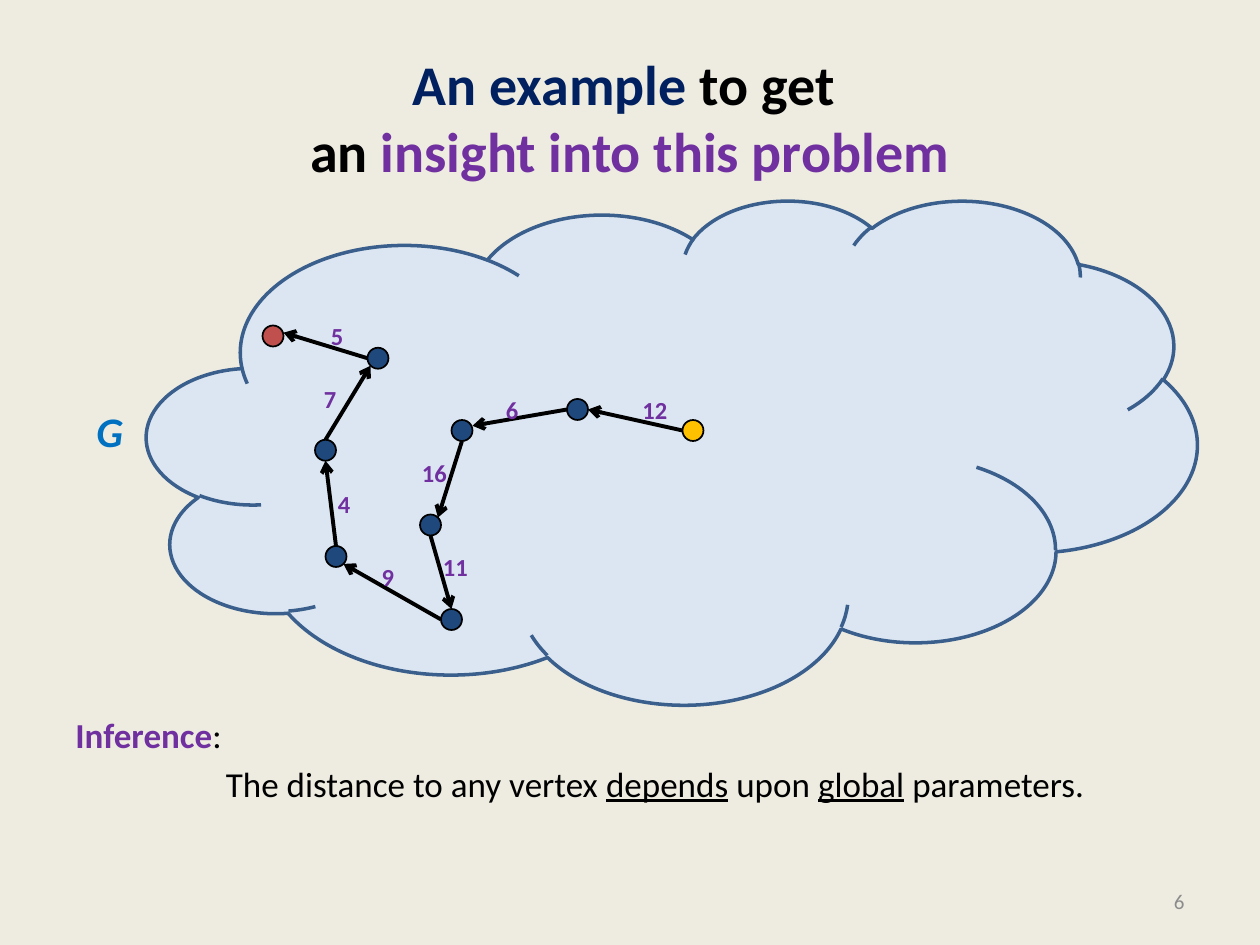
from dataclasses import dataclass
from math import cos, radians, sin

from pptx import Presentation
from pptx import util as u
from pptx.dml.color import RGBColor
from pptx.enum import shapes, text
from pptx.oxml.ns import qn
from lxml import etree

BLACK, NAVY, PURPLE = "000000", "002060", "7030A0"
BLUE, GOLD, RED = "1F497D", "FFC000", "C0504D"
RADIUS = 6
# Compass points as clockwise angles from the right
ANGLES = {"E": 0, "SE": 45, "S": 90, "W": 180, "SW": 135, "N": 270, "NE": 315}


@dataclass(frozen=True)
class Node:
    x: float
    y: float
    fill: str = BLUE

    def rim(self, side: str) -> tuple[float, float]:
        turn = radians(ANGLES[side])
        return self.x + RADIUS * cos(turn), self.y + RADIUS * sin(turn)


@dataclass(frozen=True)
class Edge:
    """Arrow between consecutive nodes; x and y place the weight's box."""
    leave: str
    enter: str
    weight: str
    x: float
    y: float
    drop: float = 0


NODES = [
    Node(396, 246, GOLD), Node(330, 234), Node(264, 246),
    Node(246, 300), Node(258, 354), Node(192, 318),
    Node(186, 257.3), Node(216, 204.7), Node(156, 192, RED),
]
EDGES = [
    Edge("W", "E", "12", 360, 222), Edge("W", "E", "6", 282, 222, -2.7),
    Edge("S", "NE", "16", 234, 258), Edge("S", "N", "11", 246, 312),
    Edge("W", "SE", "9", 211, 317.5), Edge("N", "S", "4", 186, 276),
    Edge("N", "SW", "7", 178, 216), Edge("W", "E", "5", 182, 180, -1.9),
]


def color(code: str) -> RGBColor:
    return RGBColor.from_string(code)


def write(para, words: str, code: str, **format) -> None:
    """Add a run, with font attributes given by name."""
    run = para.add_run()
    run.text = words
    run.font.color.rgb = color(code)
    for name, value in ({"name": "Calibri"} | format).items():
        setattr(run.font, name, value)


def add_box(slide, x: float, y: float, w: float, h: float, **format):
    """Add a text box and return its frame."""
    frame = slide.shapes.add_textbox(*map(u.Pt, (x, y, w, h))).text_frame
    for name, value in ({"word_wrap": True} | format).items():
        setattr(frame, name, value)
    return frame


def add_label(slide, words: str, x: float, y: float, w: float, h: float,
              code: str, **format) -> None:
    frame = add_box(slide, x, y, w, h, word_wrap=False,
                    auto_size=text.MSO_AUTO_SIZE.SHAPE_TO_FIT_TEXT)
    write(frame.paragraphs[0], words, code, bold=True, **format)


def add_shape(slide, kind, x: float, y: float, w: float, h: float,
              fill: str, line: str, width: float) -> None:
    shape = slide.shapes.add_shape(kind, *map(u.Pt, (x, y, w, h)))
    shape.shadow.inherit = False
    shape.fill.solid()
    shape.fill.fore_color.rgb = color(fill)
    shape.line.color.rgb = color(line)
    shape.line.width = u.Pt(width)


def add_arrow(slide, start: Node, end: Node, edge: Edge) -> None:
    x, y = end.rim(edge.enter)
    ends = (*start.rim(edge.leave), x, y + edge.drop)
    arrow = slide.shapes.add_connector(
        shapes.MSO_CONNECTOR.STRAIGHT, *map(u.Pt, ends))
    arrow.line.color.rgb = color(BLACK)
    arrow.line.width = u.Pt(2.25)
    etree.SubElement(arrow.line._get_or_add_ln(), qn("a:tailEnd"), type="arrow")
    etree.SubElement(arrow._element.spPr, qn("a:effectLst"))


def add_title(slide) -> None:
    title = slide.shapes.title
    place = {"left": 36, "top": 21.6, "width": 648, "height": 90}
    for name, value in place.items():
        setattr(title, name, u.Pt(value))
    title.text_frame.vertical_anchor = text.MSO_ANCHOR.MIDDLE
    para = title.text_frame.paragraphs[0]
    para.alignment = text.PP_ALIGN.CENTER
    bold = {"size": u.Pt(32), "bold": True}
    write(para, "An example", NAVY, **bold)
    write(para, " to get ", BLACK, **bold)
    para.add_line_break()
    write(para, "an ", BLACK, **bold)
    write(para, "insight into this problem", PURPLE, **bold)


def add_graph(slide) -> None:
    add_shape(slide, shapes.MSO_SHAPE.CLOUD, 84, 114, 600, 288,
              "DCE6F2", "3A5F8C", 2)
    add_label(slide, "G", 48, 228, 30, 36, "0070C0", size=u.Pt(24), italic=True)
    for start, end, edge in zip(NODES, NODES[1:], EDGES):
        add_arrow(slide, start, end, edge)
    for node in NODES:
        add_shape(slide, shapes.MSO_SHAPE.OVAL, node.x - RADIUS,
                  node.y - RADIUS, 2 * RADIUS, 2 * RADIUS, node.fill, BLACK, 1)
    for edge in EDGES:
        add_label(slide, edge.weight, edge.x, edge.y,
                  14.4 + 7.2 * len(edge.weight), 24.2, PURPLE, size=u.Pt(14))


def add_notes(slide) -> None:
    """Add the inference and the page number."""
    frame = add_box(slide, 36, 404, 648, 64)
    size = u.Pt(20)
    head = frame.paragraphs[0]
    write(head, "Inference", PURPLE, size=size, bold=True)
    write(head, ":", BLACK, size=size)
    body = frame.add_paragraph()
    body._p.get_or_add_pPr().set("marL", str(u.Pt(86)))
    body.space_before = u.Pt(4)
    for words, under in (("The distance to any vertex ", False),
                         ("depends", True), (" upon ", False),
                         ("global", True), (" parameters.", False)):
        write(body, words, BLACK, size=size, underline=under)
    page = add_box(slide, 516, 500.4, 168, 28.8,
                   vertical_anchor=text.MSO_ANCHOR.MIDDLE).paragraphs[0]
    page.alignment = text.PP_ALIGN.RIGHT
    write(page, "6", "8C8C8C", size=u.Pt(12))


def main() -> None:
    deck = Presentation()
    deck.slide_width, deck.slide_height = u.Pt(720), u.Pt(540)
    slide = deck.slides.add_slide(deck.slide_layouts.get_by_name("Title Only"))
    slide.background.fill.solid()
    slide.background.fill.fore_color.rgb = color("EEECE1")
    add_title(slide)
    add_graph(slide)
    add_notes(slide)
    deck.save("out.pptx")


if __name__ == "__main__":
    main()
